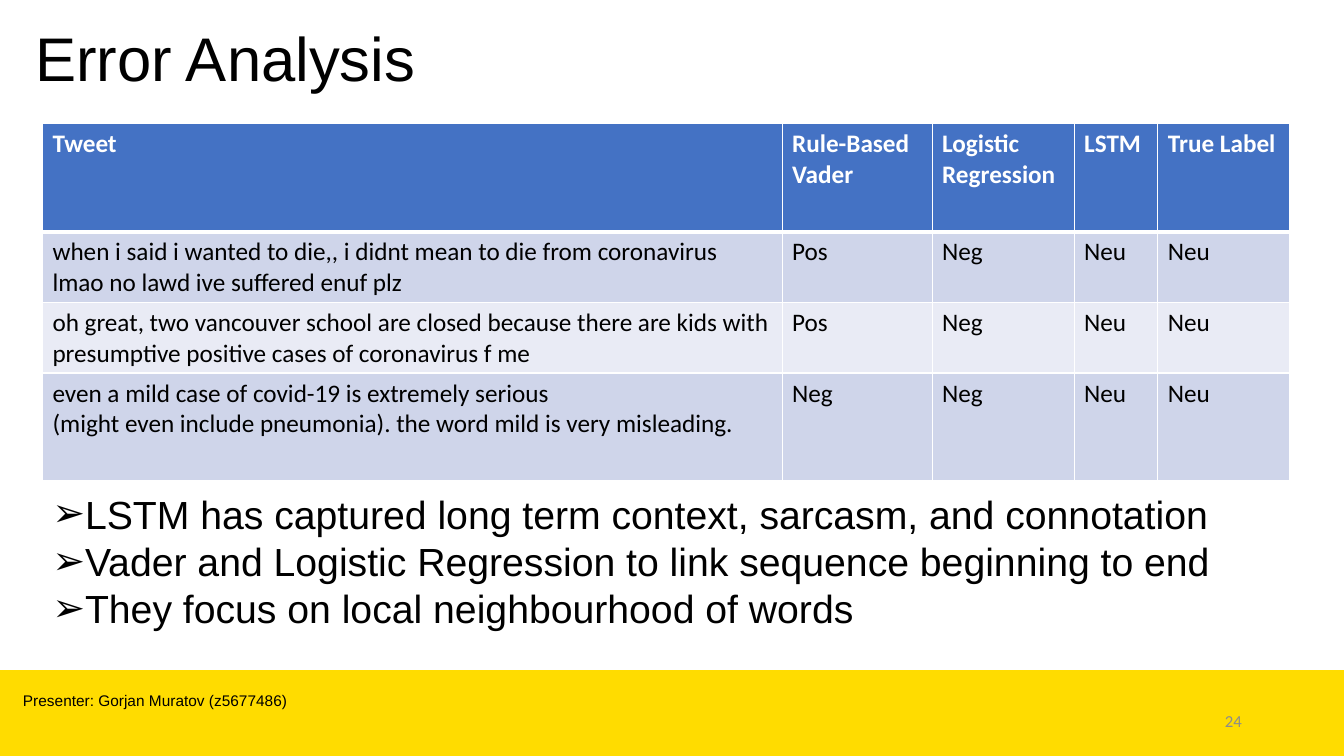
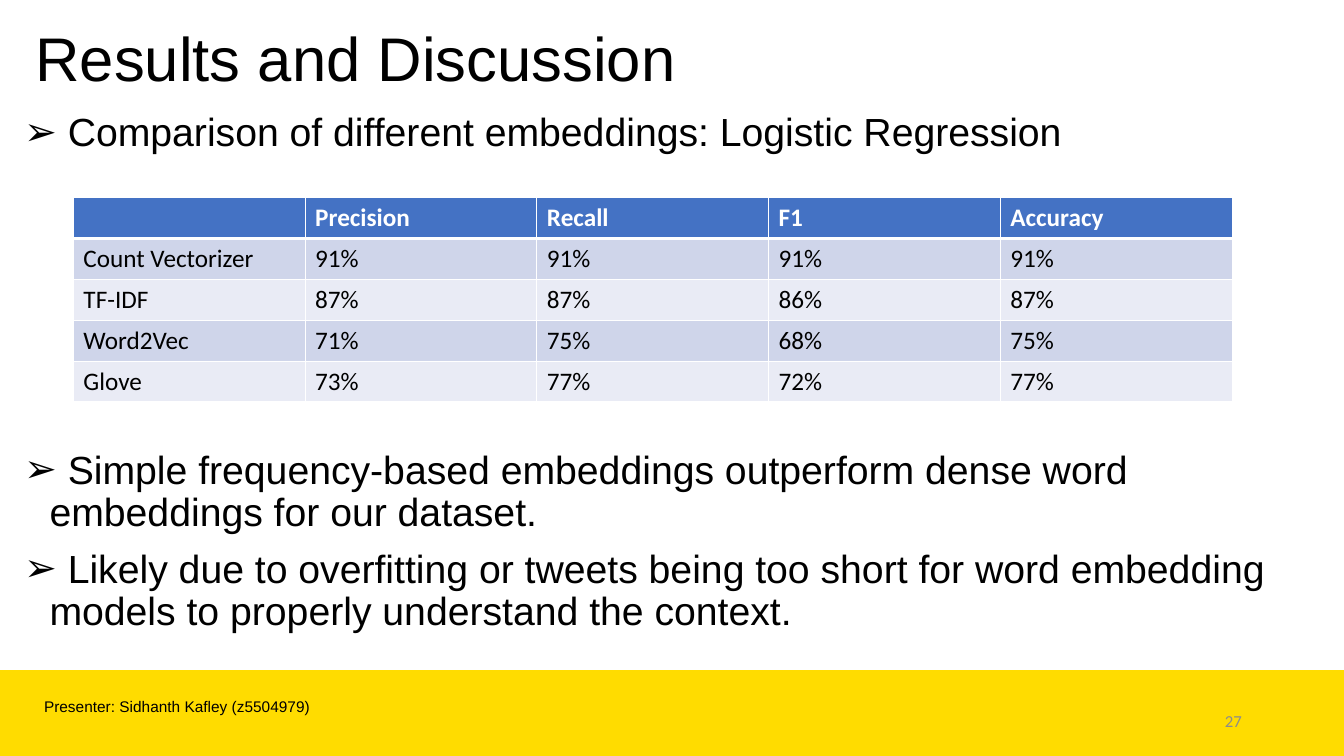
from lxml.etree import SubElement
from pptx import Presentation
from pptx.dml.color import RGBColor
from pptx.enum.shapes import MSO_SHAPE
from pptx.enum.text import MSO_ANCHOR, MSO_AUTO_SIZE, PP_ALIGN
from pptx.oxml import parse_xml
from pptx.oxml.ns import nsdecls, qn
from pptx.util import Cm, Pt

SLIDE_WIDTH, SLIDE_HEIGHT = 33.87, 19.05
BAND_TOP = 16.89
BLACK, WHITE, YELLOW, GREY = "000000", "FFFFFF", "FFDC00", "8C8C8C"
HEADER_BLUE, ROW_TINTS = "4472C4", ("CFD5EA", "E9EBF5")
HEADING_FONT, TABLE_FONT = "Arial", "Calibri"

# Boxes are (left, top, width, height) in centimetres.
SLIDES = [
    {
        "title": "Error Analysis",
        "number": "24",
        "presenter": "Presenter: Gorjan Muratov (z5677486)",
        "presenter_box": (0.33, 17.3, 20.35, 0.74),
        "table_at": (1.07, 3.12),
        "columns": [18.64, 3.78, 3.58, 2.11, 3.33],
        "rows": [2.72, 1.57, 1.57, 2.72],
        "cells": [
            ["Tweet", "Rule-Based Vader", "Logistic Regression", "LSTM", "True Label"],
            ["when i said i wanted to die,, i didnt mean to die from coronavirus "
             "lmao no lawd ive suffered enuf plz", "Pos", "Neg", "Neu", "Neu"],
            ["oh great, two vancouver school are closed because there are kids with "
             "presumptive positive cases of coronavirus f me", "Pos", "Neg", "Neu", "Neu"],
            ["even a mild case of covid-19 is extremely serious\n"
             "(might even include pneumonia). the word mild is very misleading.",
             "Neg", "Neg", "Neu", "Neu"],
        ],
        "bullet_box": (1.07, 12.22, 31.42, 3.84),
        "bullet_indent": 0.79,
        "line_spacing": 1.0,
        # (text, points of space before)
        "bullets": [
            ("LSTM has captured long term context, sarcasm, and connotation", 0),
            ("Vader and Logistic Regression to link sequence beginning to end", 0),
            ("They focus on local neighbourhood of words", 0),
        ],
    },
    {
        "title": "Results and Discussion",
        "number": "27",
        "presenter": "Presenter: Sidhanth Kafley (z5504979)",
        "presenter_box": (0.86, 17.45, 7.62, 0.74),
        "table_at": (1.85, 4.98),
        "columns": [5.84] * 5,
        "rows": [1.03] * 5,
        "cells": [
            ["", "Precision", "Recall", "F1", "Accuracy"],
            ["Count Vectorizer", "91%", "91%", "91%", "91%"],
            ["TF-IDF", "87%", "87%", "86%", "87%"],
            ["Word2Vec", "71%", "75%", "68%", "75%"],
            ["Glove", "73%", "77%", "72%", "77%"],
        ],
        "bullet_box": (0.36, 2.72, 33.2, 14),
        "bullet_indent": 0.64,
        "line_spacing": 0.9,
        "bullets": [
            (" Comparison of different embeddings: Logistic Regression", 10),
            (" Simple frequency-based embeddings outperform dense word "
             "embeddings for our dataset.", 211),
            (" Likely due to overfitting or tweets being too short for word "
             "embedding models to properly understand the context.", 10),
        ],
    },
]


def rgb(value):
    return RGBColor.from_string(value)


def add_span(para, text, size, font=HEADING_FONT, color=BLACK, bold=False):
    span = para.add_run()
    span.text = text
    span.font.size = Pt(size)
    span.font.name = font
    span.font.bold = bold
    span.font.color.rgb = rgb(color)


def add_text_box(page, box):
    frame = page.shapes.add_textbox(*map(Cm, box)).text_frame
    frame.word_wrap = True
    return frame


def paragraphs(frame, count):
    """Return the first paragraph and as many new ones as needed."""
    return [frame.paragraphs[0]] + [frame.add_paragraph() for _ in range(count - 1)]


def add_band(page):
    band = page.shapes.add_shape(
        MSO_SHAPE.RECTANGLE, 0, Cm(BAND_TOP), Cm(SLIDE_WIDTH), Cm(SLIDE_HEIGHT - BAND_TOP))
    band.shadow.inherit = False
    band.fill.solid()
    band.fill.fore_color.rgb = rgb(YELLOW)
    band.line.fill.background()


def set_title(page, text):
    title = page.shapes.title
    title.left, title.top, title.width, title.height = map(Cm, (0.64, 0.38, 32.31, 2.34))
    frame = title.text_frame
    frame.auto_size = MSO_AUTO_SIZE.NONE
    frame.vertical_anchor = MSO_ANCHOR.MIDDLE
    para = frame.paragraphs[0]
    para.alignment = PP_ALIGN.LEFT
    para.line_spacing = 0.9
    add_span(para, text, 44)


def add_footer(page, content):
    add_band(page)
    presenter = add_text_box(page, content["presenter_box"])
    add_span(presenter.paragraphs[0], content["presenter"], 11)
    number = add_text_box(page, (23.93, 17.65, 7.62, 1.02))
    number.vertical_anchor = MSO_ANCHOR.MIDDLE
    number.paragraphs[0].alignment = PP_ALIGN.RIGHT
    add_span(number.paragraphs[0], content["number"], 12, TABLE_FONT, GREY)


def add_bullets(page, content):
    frame = add_text_box(page, content["bullet_box"])
    bullets = content["bullets"]
    indent = Cm(content["bullet_indent"])
    for para, (text, space) in zip(paragraphs(frame, len(bullets)), bullets):
        para.line_spacing = content["line_spacing"]
        para.space_before = Pt(space)
        properties = para._p.get_or_add_pPr()
        properties.set("marL", str(indent))
        properties.set("indent", str(-indent))
        SubElement(properties, qn("a:buFont"), typeface=HEADING_FONT)
        SubElement(properties, qn("a:buChar"), char="➢")
        add_span(para, text, 28)


def set_borders(cell, top, bottom):
    """Draw white borders; top and bottom are widths in points."""
    properties = cell._tc.get_or_add_tcPr()
    for place, (side, width) in enumerate((("L", 1), ("R", 1), ("T", top), ("B", bottom))):
        properties.insert(place, parse_xml(
            f'<a:ln{side} {nsdecls("a")} w="{Pt(width)}"><a:solidFill>'
            f'<a:srgbClr val="{WHITE}"/></a:solidFill></a:ln{side}>'))


def fill_cell(cell, text, row):
    header = row == 0
    cell.fill.solid()
    cell.fill.fore_color.rgb = rgb(HEADER_BLUE if header else ROW_TINTS[(row - 1) % 2])
    set_borders(cell, top=3 if row == 1 else 1, bottom=3 if header else 1)
    lines = text.split("\n") if text else []
    for para, line in zip(paragraphs(cell.text_frame, len(lines)), lines):
        add_span(para, line, 18, TABLE_FONT, WHITE if header else BLACK, header)


def add_data_table(page, content):
    columns, rows = content["columns"], content["rows"]
    box = (*content["table_at"], sum(columns), sum(rows))
    table = page.shapes.add_table(len(rows), len(columns), *map(Cm, box)).table
    for column, width in zip(table.columns, columns):
        column.width = Cm(width)
    for row, height in enumerate(rows):
        table.rows[row].height = Cm(height)
        for column, text in enumerate(content["cells"][row]):
            fill_cell(table.cell(row, column), text, row)


def main():
    deck = Presentation()
    deck.slide_width, deck.slide_height = Cm(SLIDE_WIDTH), Cm(SLIDE_HEIGHT)
    title_only = deck.slide_layouts[5]
    for content in SLIDES:
        page = deck.slides.add_slide(title_only)
        set_title(page, content["title"])
        add_footer(page, content)
        add_bullets(page, content)
        add_data_table(page, content)
    deck.save("out.pptx")


if __name__ == "__main__":
    main()
